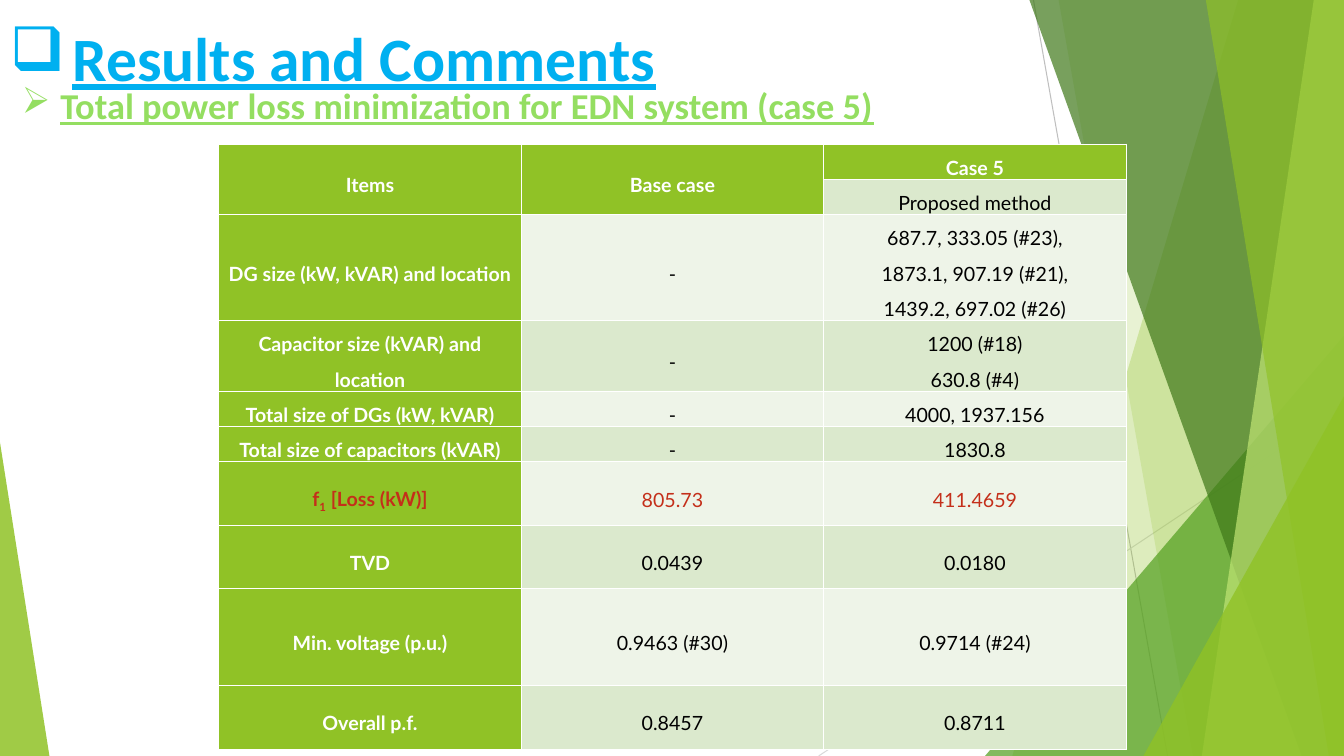
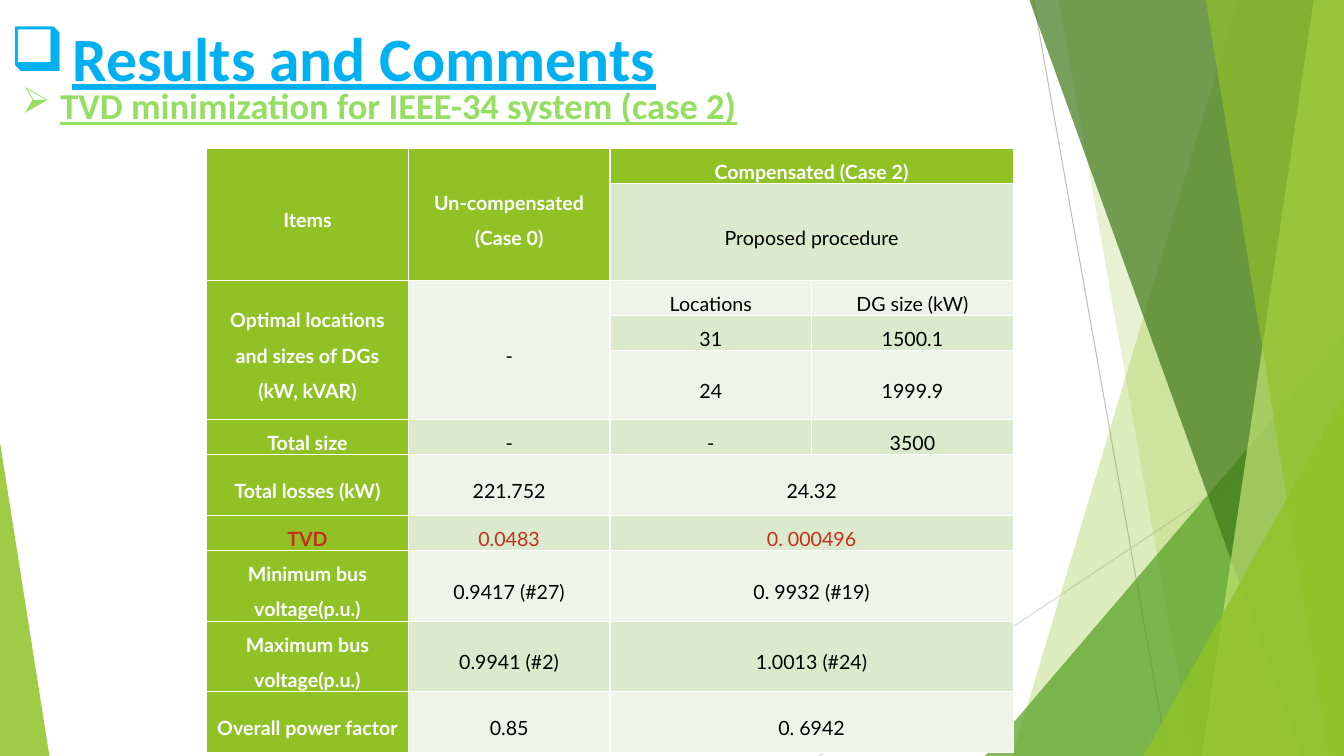
from dataclasses import dataclass

from lxml.etree import SubElement
from pptx import Presentation
from pptx.dml.color import RGBColor
from pptx.enum.shapes import MSO_CONNECTOR, MSO_SHAPE
from pptx.enum.text import MSO_ANCHOR, MSO_AUTO_SIZE, PP_ALIGN
from pptx.oxml.ns import qn
from pptx.util import Inches, Pt

SLIDE_W, SLIDE_H = 13.33, 7.5


@dataclass(frozen=True)
class Theme:
    title: str = "00B0F0"
    subtitle: str = "94DE61"
    green: str = "90C226"
    leaf: str = "54A021"
    forest: str = "3F7819"
    lime: str = "C0E474"
    band_dark: str = "DBE9CD"
    band_light: str = "EEF4E8"
    highlight: str = "C42F1A"
    white: str = "FFFFFF"
    black: str = "000000"
    heading_font: str = "Calibri"
    table_font: str = "Lato"
    title_size: int = 44
    subtitle_size: int = 26
    table_size: int = 14


THEME = Theme()

# Thin lines: start, end, colour
RAYS = [
    ((10.25, 0), (11.58, SLIDE_H), "BFBFBF"),
    ((SLIDE_W, 4.03), (8.12, SLIDE_H), "D9D9D9"),
]
# Panels reach the right edge: ("panel", top x, bottom x, colour, opacity %)
# Triangles stand on the bottom edge: ("triangle", left, top, width, peak, colour, opacity %)
FACETS = [
    ("panel", 12.28, 10.04, THEME.green, 30),
    ("panel", 10.5, 11.83, THEME.green, 20),
    ("triangle", 9.77, 3.33, 3.56, 1, THEME.leaf, 72),
    ("panel", 10.21, 12.91, THEME.forest, 70),
    ("panel", 13.03, 11.92, THEME.lime, 70),
    ("panel", 11.96, 13.18, THEME.green, 65),
    ("triangle", 11.34, 3.93, 1.99, 1, THEME.green, 80),
    ("triangle", 0, 4.39, 0.49, 0, THEME.green, 85),
]

TITLE = "Results and Comments"
LEFT, UP = "<", "^"  # the cell belongs to its neighbour on the left or above

# A tuple in a cell alternates plain and subscript text.
RESULTS = [
    {
        "subtitle": "Total power loss minimization for EDN system (case 5)",
        "origin": (2.17, 1.43),
        "column_width": 3,
        "row_heights": [0.29, 0.33, 0.96, 0.63, 0.29, 0.29, 0.63, 0.63, 0.96, 0.63],
        "highlight_row": 6,
        "rows": [
            ["Items", "Base case", "Case 5"],
            [UP, UP, "Proposed method"],
            ["DG size (kW, kVAR) and location", "-",
             "687.7, 333.05 (#23),\n1873.1, 907.19 (#21),\n1439.2, 697.02 (#26)"],
            ["Capacitor size (kVAR) and location", "-", "1200 (#18)\n630.8 (#4)"],
            ["Total size of DGs (kW, kVAR)", "-", "4000, 1937.156"],
            ["Total size of capacitors (kVAR)", "-", "1830.8"],
            [("f", "1", " [Loss (kW)]"), "805.73", "411.4659"],
            ["TVD", "0.0439", "0.0180"],
            ["Min. voltage (p.u.)", "0.9463 (#30)", "0.9714 (#24)"],
            ["Overall p.f.", "0.8457", "0.8711"],
        ],
    },
    {
        "subtitle": "TVD minimization for IEEE-34 system (case 2)",
        "origin": (2.05, 1.47),
        "column_width": 2,
        "row_heights": [0.28, 0.96, 0.28, 0.28, 0.68, 0.28, 0.6, 0.28, 0.6, 0.6, 0.6],
        "highlight_row": 7,
        "rows": [
            ["Items", "Un-compensated\n(Case 0)", "Compensated (Case 2)", LEFT],
            [UP, UP, "Proposed procedure", LEFT],
            ["Optimal locations and sizes of DGs (kW, kVAR)", "-", "Locations", "DG size (kW)"],
            [UP, UP, "31", "1500.1"],
            [UP, UP, "24", "1999.9"],
            ["Total size", "-", "-", "3500"],
            ["Total losses (kW)", "221.752", "24.32", LEFT],
            ["TVD", "0.0483", "0. 000496", LEFT],
            ["Minimum bus voltage(p.u.)", "0.9417 (#27)", "0. 9932 (#19)", LEFT],
            ["Maximum bus voltage(p.u.)", "0.9941 (#2)", "1.0013 (#24)", LEFT],
            ["Overall power factor", "0.85", "0. 6942", LEFT],
        ],
    },
]


def rgb(value):
    return RGBColor.from_string(value)


def style_font(font, name, size, color, bold=True, underline=None):
    font.name, font.size = name, Pt(size)
    font.bold, font.underline = bold, underline
    font.color.rgb = rgb(color)


def add_ray(slide, start, end, color):
    ray = slide.shapes.add_connector(
        MSO_CONNECTOR.STRAIGHT, *(Inches(v) for v in (*start, *end)))
    ray.line.color.rgb = rgb(color)
    ray.line.width = Pt(0.75)
    SubElement(ray._element.spPr, qn("a:effectLst"))


def add_panel(slide, top_x, bottom_x):
    corners = [(SLIDE_W, 0), (SLIDE_W, SLIDE_H), (bottom_x, SLIDE_H)]
    outline = slide.shapes.build_freeform(Inches(top_x), 0)
    outline.add_line_segments([(Inches(x), Inches(y)) for x, y in corners])
    return outline.convert_to_shape()


def add_triangle(slide, left, top, width, peak):
    triangle = slide.shapes.add_shape(
        MSO_SHAPE.ISOSCELES_TRIANGLE,
        *(Inches(v) for v in (left, top, width, SLIDE_H - top)))
    triangle.adjustments[0] = peak
    return triangle


def add_backdrop(slide):
    for ray in RAYS:
        add_ray(slide, *ray)
    builders = {"panel": add_panel, "triangle": add_triangle}
    for kind, *geometry, color, opacity in FACETS:
        facet = builders[kind](slide, *geometry)
        facet.shadow.inherit = False
        facet.line.fill.background()
        facet.fill.solid()
        facet.fill.fore_color.rgb = rgb(color)
        tint = facet._element.spPr.find(qn("a:solidFill"))[0]
        SubElement(tint, qn("a:alpha"), val=str(opacity * 1000))


def add_heading(slide, text, box, bullet, indent, size, color, wrap=True):
    frame = slide.shapes.add_textbox(*(Inches(v) for v in box)).text_frame
    frame.word_wrap = wrap
    frame.auto_size = MSO_AUTO_SIZE.SHAPE_TO_FIT_TEXT
    heading = frame.paragraphs[0]
    heading.text = text
    heading.line_spacing, heading.space_before = 1.5, Pt(3)
    props = heading._p.get_or_add_pPr()
    props.set("marL", str(Inches(indent)))
    props.set("indent", str(-Inches(indent)))
    SubElement(props, qn("a:buChar"), char=bullet)
    style_font(heading.font, THEME.heading_font, size, color, underline=True)


def span_length(cells, marker):
    """Count a cell and the merge markers that directly follow it."""
    length = 1
    while length < len(cells) and cells[length] == marker:
        length += 1
    return length


def write_cell(cell, content, color, bold):
    frame = cell.text_frame
    if isinstance(content, tuple):
        for i, part in enumerate(content):
            run = frame.paragraphs[0].add_run()
            run.text = part
            if i % 2:
                run._r.get_or_add_rPr().set("baseline", "-25000")
    else:
        frame.text = content
    for paragraph in frame.paragraphs:
        paragraph.alignment = PP_ALIGN.CENTER
        paragraph.line_spacing = 1.5
        style_font(paragraph.font, THEME.table_font, THEME.table_size, color, bold)


def add_results_table(slide, result):
    rows, heights = result["rows"], result["row_heights"]
    column_count = len(rows[0])
    size = (column_count * result["column_width"], sum(heights))
    table = slide.shapes.add_table(
        len(rows), column_count, *(Inches(v) for v in (*result["origin"], *size))).table
    table.first_col = True
    for row, height in zip(table.rows, heights):
        row.height = Inches(height)

    for r, row in enumerate(rows):
        for c, content in enumerate(row):
            cell = table.cell(r, c)
            is_header = r == 0 or c == 0
            band = THEME.band_dark if r % 2 else THEME.band_light
            cell.fill.solid()
            cell.fill.fore_color.rgb = rgb(THEME.green if is_header else band)
            cell.vertical_anchor = MSO_ANCHOR.MIDDLE
            cell.margin_left = cell.margin_right = Inches(0.07)
            cell.margin_top = cell.margin_bottom = 0
            if content in (LEFT, UP):
                continue
            color = THEME.white if is_header else THEME.black
            if r == result["highlight_row"]:
                color = THEME.highlight
            write_cell(cell, content, color, is_header)
            down = span_length([line[c] for line in rows[r:]], UP)
            across = span_length(row[c:], LEFT)
            if down * across > 1:
                cell.merge(table.cell(r + down - 1, c + across - 1))


def main():
    deck = Presentation()
    deck.slide_width, deck.slide_height = Inches(SLIDE_W), Inches(SLIDE_H)
    blank = deck.slide_layouts[6]
    for result in RESULTS:
        slide = deck.slides.add_slide(blank)
        add_backdrop(slide)
        add_heading(slide, TITLE, (0, -0.22, 6.67, 1.1), "❑", 0.62,
                    THEME.title_size, THEME.title, wrap=False)
        add_heading(slide, result["subtitle"], (0.12, 0.56, 10, 0.69), "➢", 0.38,
                    THEME.subtitle_size, THEME.subtitle)
        add_results_table(slide, result)
    deck.save("out.pptx")


if __name__ == "__main__":
    main()
